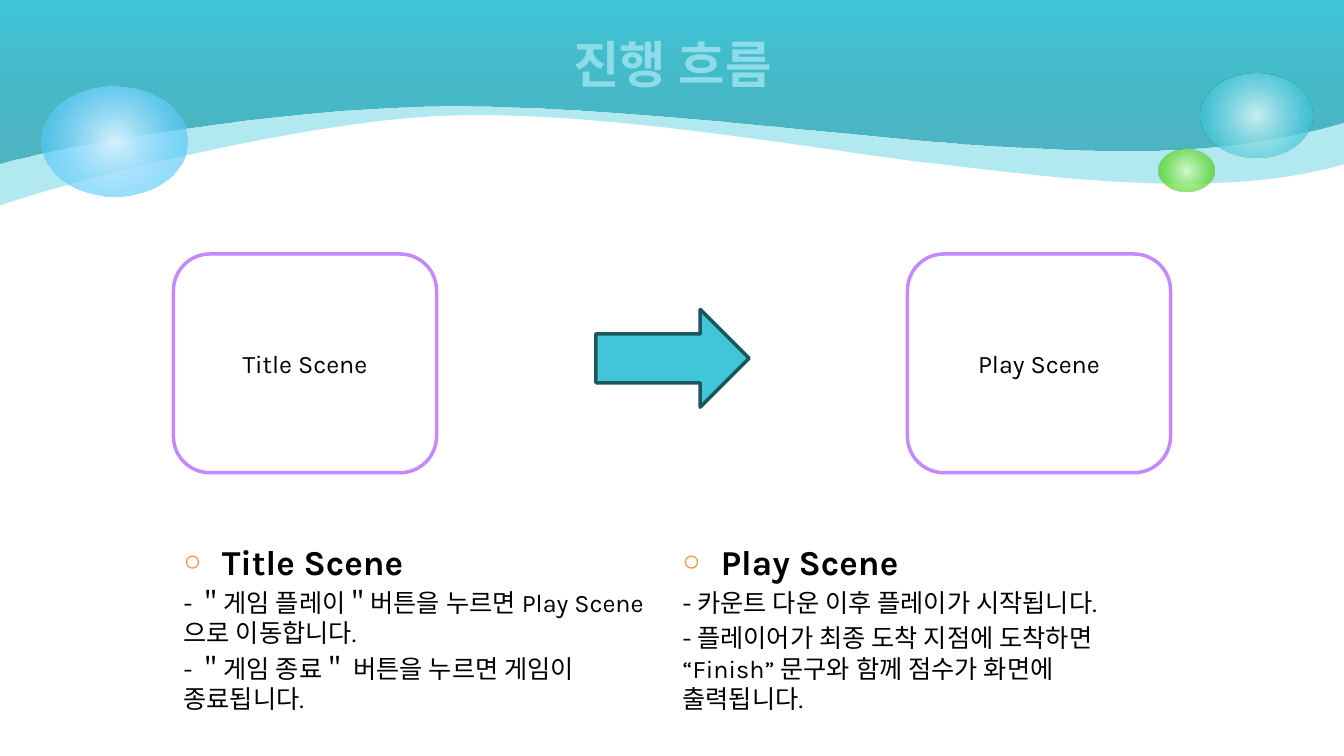
from lxml import etree
from pptx import Presentation
from pptx import util as u
from pptx.dml.color import RGBColor
from pptx.enum import lang, shapes, text
from pptx.oxml import ns

FONT = "Karla"
COLORS = {
    "white": "FFFFFF", "black": "000000", "aqua": "40C6D8", "teal": "249EAE",
    "dark_teal": "1C575F", "pale_aqua": "D9F4F7", "title": "8CDDE8",
    "pale_green": "DAFACD", "green": "4CD416", "pale_blue": "D6F2FE",
    "blue": "33BDFB", "purple": "C489FF", "orange": "FE8C2E",
}
BACK_WAVE = [
    (0, 0.54), (0, 1.5), (0, 2.04), (0.44, 1.87), (2.85, 1.22), (4.37, 1.15),
    (5.9, 1.08), (8.08, 1.48), (9.16, 1.61), (10.24, 1.73), (12.03, 2.01), (13.33, 1.63),
]
FRONT_WAVE = [
    (0, 0.54), (0, 1.08), (0, 1.62), (0.6, 1.44), (2.71, 1.08), (4.35, 1.05),
    (5.98, 1.02), (8.78, 1.39), (9.83, 1.44), (10.88, 1.49), (12.03, 1.59), (13.33, 1.21),
]
BUBBLES = [
    ((11.91, 0.73, 1.11, 0.83), [(0, "pale_aqua", 90), (76, "aqua", 70)]),
    ((11.49, 1.48, 0.56, 0.42), [(0, "pale_green", 90), (76, "green", 70)]),
    ((0.41, 0.86, 1.45, 1.09), [(0, "pale_blue", 100), (100, "blue", 54)]),
]
SCENES = [
    ("Title Scene", 1.72, 1.72, [
        "- ＂게임 플레이＂버튼을 누르면 Play Scene으로 이동합니다.",
        "- ＂게임 종료＂ 버튼을 누르면 게임이 종료됩니다.",
    ]),
    ("Play Scene", 9, 6.67, [
        "- 카운트 다운 이후 플레이가 시작됩니다.",
        "- 플레이어가 최종 도착 지점에 도착하면 “Finish” 문구와 함께 점수가 화면에 출력됩니다.",
    ]),
]


def rgb(name):
    return RGBColor.from_string(COLORS[name])


def add_node(parent, tag, **attributes):
    node = etree.SubElement(parent, ns.qn(tag))
    for key, value in attributes.items():
        node.set(key, str(value))
    return node


def place(shape, left, top, width, height):
    shape.left, shape.top = u.Inches(left), u.Inches(top)
    shape.width, shape.height = u.Inches(width), u.Inches(height)


def set_font(paragraph, size, color, bold=False):
    paragraph.font.name = FONT
    paragraph.font.size = u.Pt(size)
    paragraph.font.bold = bold
    paragraph.font.color.rgb = rgb(color)
    add_node(paragraph._p.pPr.find(ns.qn("a:defRPr")), "a:ea", typeface=FONT)
    for run in paragraph.runs:
        run.font.language_id = lang.MSO_LANGUAGE_ID.KOREAN


def fill_gradient(shape, stops, angle=None):
    shape.fill.gradient()
    gradient = shape.element.spPr.find(ns.qn("a:gradFill"))
    for child in list(gradient):
        gradient.remove(child)
    stop_list = add_node(gradient, "a:gsLst")
    for position, color, alpha in stops:
        stop = add_node(stop_list, "a:gs", pos=position * 1000)
        color_node = add_node(stop, "a:srgbClr", val=COLORS[color])
        add_node(color_node, "a:alpha", val=alpha * 1000)
    if angle is None:
        circle = add_node(gradient, "a:path", path="circle")
        add_node(circle, "a:fillToRect", l=50000, t=50000, r=50000, b=50000)
    else:
        add_node(gradient, "a:lin", ang=angle * 60000, scaled=0)


def add_wave(slide, controls):
    builder = slide.shapes.build_freeform(0, 0)
    outline = [*controls, (13.35, 0)]
    builder.add_line_segments([(u.Inches(x), u.Inches(y)) for x, y in outline], close=True)
    wave = builder.convert_to_shape()
    wave.shadow.inherit = False
    wave.line.fill.background()
    segments = list(wave.element.iter(ns.qn("a:lnTo")))[:len(controls)]
    for start in range(0, len(segments), 3):
        curve = etree.Element(ns.qn("a:cubicBezTo"))
        segments[start].addprevious(curve)
        for segment in segments[start:start + 3]:
            curve.append(segment[0])
            segment.getparent().remove(segment)
    return wave


def add_shape(slide, kind, box, fill=None, line=None):
    shape = slide.shapes.add_shape(kind, *map(u.Inches, box))
    shape.shadow.inherit = False
    if fill:
        shape.fill.solid()
        shape.fill.fore_color.rgb = rgb(fill)
    if line:
        shape.line.color.rgb = rgb(line)
        shape.line.width = u.Pt(2.5)
    else:
        shape.line.fill.background()
    return shape


def add_scene_box(slide, name, left):
    box = add_shape(slide, shapes.MSO_SHAPE.ROUNDED_RECTANGLE,
                    (left, 2.52, 2.61, 2.17), "white", "purple")
    box.text_frame.text = name
    box.text_frame.vertical_anchor = text.MSO_ANCHOR.MIDDLE
    paragraph = box.text_frame.paragraphs[0]
    paragraph.alignment = text.PP_ALIGN.CENTER
    set_font(paragraph, 18, "black")


def set_bullet(paragraph, indent, character=None):
    properties = paragraph._p.get_or_add_pPr()
    properties.set("marL", str(u.Inches(indent)))
    properties.set("indent", str(-u.Inches(indent)))
    if character:
        color = add_node(properties, "a:buClr")
        add_node(color, "a:srgbClr", val=COLORS["orange"])
        add_node(properties, "a:buSzPct", val=85000)
        add_node(properties, "a:buChar", char=character)
    else:
        add_node(properties, "a:buNone")


def fill_description(body, heading, left, lines):
    place(body, left, 5.31, 4.94, 1.78)
    frame = body.text_frame
    frame.auto_size = text.MSO_AUTO_SIZE.NONE
    frame.text = "\n".join([heading, *lines])
    first, *rest = frame.paragraphs
    set_bullet(first, 0.38, "○")
    set_font(first, 25, "black", bold=True)
    for paragraph in rest:
        set_bullet(paragraph, 0)
        set_font(paragraph, 18, "black")


def fill_title(title, wording):
    place(title, 0.67, 0, 12, 1.25)
    title.text_frame.text = wording
    title.text_frame.vertical_anchor = text.MSO_ANCHOR.MIDDLE
    paragraph = title.text_frame.paragraphs[0]
    paragraph.alignment = text.PP_ALIGN.CENTER
    set_font(paragraph, 36, "title", bold=True)
    title.element.getparent().append(title.element)


def main():
    presentation = Presentation()
    presentation.slide_width = u.Inches(13.33)
    presentation.slide_height = u.Inches(7.5)
    slide = presentation.slides.add_slide(presentation.slide_layouts[3])
    title, *bodies = slide.placeholders

    fill_gradient(add_wave(slide, BACK_WAVE), [(0, "aqua", 40), (100, "aqua", 40)], 270)
    fill_gradient(add_wave(slide, FRONT_WAVE), [(0, "teal", 69), (100, "aqua", 100)], 270)
    for box, stops in BUBBLES:
        fill_gradient(add_shape(slide, shapes.MSO_SHAPE.OVAL, box), stops)
    fill_title(title, "진행 흐름")

    add_shape(slide, shapes.MSO_SHAPE.RIGHT_ARROW, (5.91, 3.07, 1.52, 0.97),
              "aqua", "dark_teal")
    for body, (name, box_left, text_left, lines) in zip(bodies, SCENES):
        add_scene_box(slide, name, box_left)
        fill_description(body, name, text_left, lines)

    presentation.save("out.pptx")


main()
